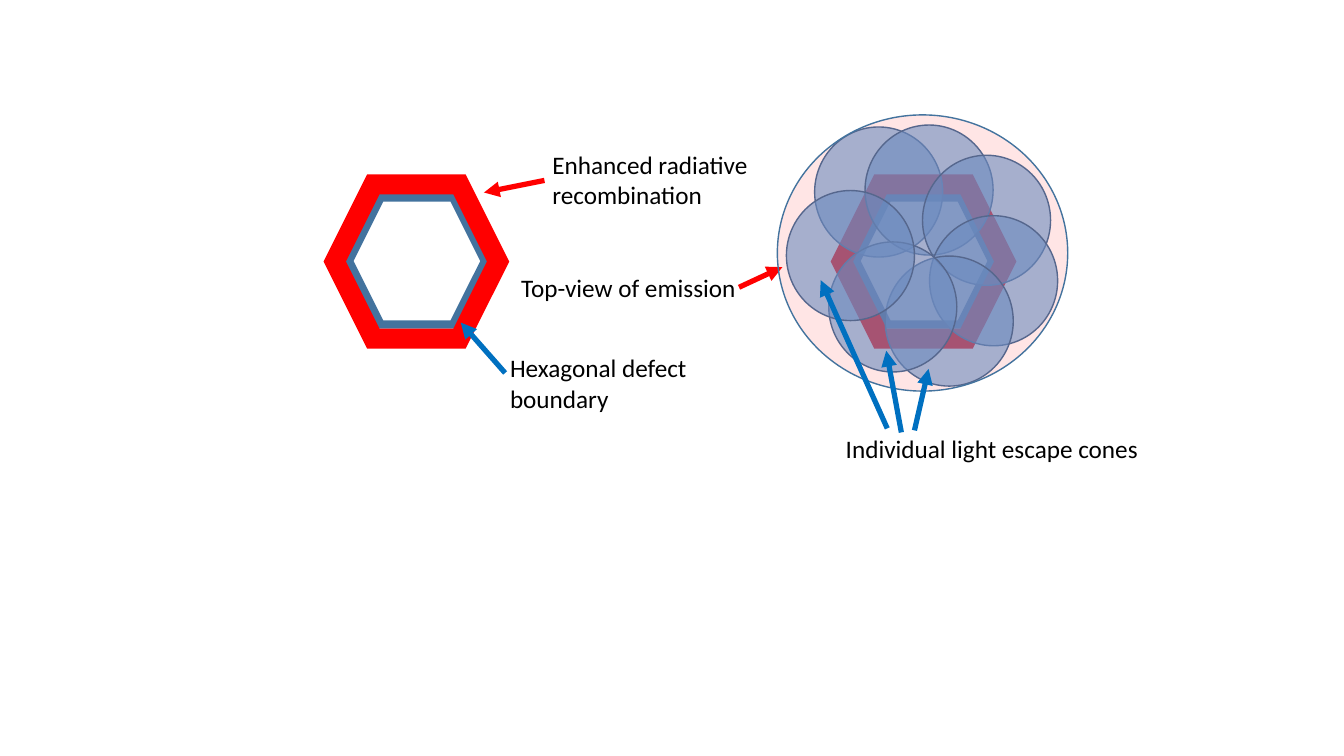
from dataclasses import dataclass
from typing import Optional

from lxml import etree
from pptx import Presentation
from pptx.dml.color import RGBColor
from pptx.enum.shapes import MSO_CONNECTOR, MSO_SHAPE
from pptx.oxml.ns import qn
from pptx.util import Inches, Pt

HEXAGON, ELLIPSE = MSO_SHAPE.HEXAGON, MSO_SHAPE.OVAL
STRAIGHT = MSO_CONNECTOR.STRAIGHT

WHITE = RGBColor(0xFF, 0xFF, 0xFF)
BLACK = RGBColor(0x00, 0x00, 0x00)
RED = RGBColor(0xFF, 0x00, 0x00)
ARROW_BLUE = RGBColor(0x00, 0x70, 0xC0)
OUTLINE_BLUE = RGBColor(0x43, 0x73, 0x9E)
CONE_BLUE = RGBColor(0x5B, 0x9B, 0xD5)

LABEL_FONT = {"name": "Calibri", "size": Pt(18)}
CONE_WIDTH, CONE_HEIGHT = 1.27, 1.29


@dataclass(frozen=True)
class Outline:
    left: float
    top: float
    width: float
    height: float
    line_color: RGBColor
    line_width: float
    fill: Optional[RGBColor] = None
    opacity: int = 100


@dataclass(frozen=True)
class Arrow:
    start: tuple[float, float]
    tip: tuple[float, float]
    color: RGBColor


@dataclass(frozen=True)
class Label:
    text: str
    left: float
    top: float
    width: float
    height: float


HEXAGON_LEFTS = (3.32, 8.35)
CONE_CORNERS = (
    (8.08, 1.26), (8.58, 1.24), (9.15, 1.54), (9.22, 2.14),
    (8.78, 2.54), (8.22, 2.40), (7.80, 1.89),
)
EMISSION = Outline(7.71, 1.14, 2.88, 2.74, OUTLINE_BLUE, 1, RED, 10)
RED_ARROWS = (
    Arrow((5.40, 1.79), (4.80, 1.91), RED),
    Arrow((7.33, 2.85), (7.76, 2.65), RED),
)
BLUE_ARROWS = (
    Arrow((5.01, 3.70), (4.57, 3.20), ARROW_BLUE),
    Arrow((9.07, 4.27), (9.21, 3.66), ARROW_BLUE),
    Arrow((8.94, 4.29), (8.79, 3.48), ARROW_BLUE),
    Arrow((8.80, 4.25), (8.14, 2.78), ARROW_BLUE),
)
LABELS = (
    Label("Enhanced radiative recombination", 5.38, 1.43, 2.31, 0.71),
    Label("Hexagonal defect boundary", 4.96, 3.45, 2.31, 0.71),
    Label("Top-view of emission", 5.07, 2.65, 2.47, 0.40),
    Label("Individual light escape cones", 8.29, 4.25, 3.27, 0.40),
)


def add_outline(slide, preset: MSO_SHAPE, outline: Outline) -> None:
    box = (outline.left, outline.top, outline.width, outline.height)
    shape = slide.shapes.add_shape(preset, *map(Inches, box))
    shape.shadow.inherit = False
    shape.line.color.rgb = outline.line_color
    shape.line.width = Pt(outline.line_width)
    etree.SubElement(shape.line._get_or_add_ln(), qn("a:miter"), lim="800000")
    if outline.fill is None:
        shape.fill.background()
        return
    shape.fill.solid()
    shape.fill.fore_color.rgb = outline.fill
    if outline.opacity < 100:
        color = shape._element.spPr.find(qn("a:solidFill")).find(qn("a:srgbClr"))
        etree.SubElement(color, qn("a:alpha"), val=str(outline.opacity * 1000))


def add_defect(slide, left: float) -> None:
    """Draw the defect boundary inside its red recombination ring."""
    boundary = Outline(left + 0.14, 1.96, 1.35, 1.26, OUTLINE_BLUE, 6, WHITE)
    ring = Outline(left, 1.83, 1.62, 1.53, RED, 14.25)
    for hexagon in (boundary, ring):
        add_outline(slide, HEXAGON, hexagon)


def add_arrow(slide, arrow: Arrow) -> None:
    ends = map(Inches, (*arrow.start, *arrow.tip))
    connector = slide.shapes.add_connector(STRAIGHT, *ends)
    connector.line.color.rgb = arrow.color
    connector.line.width = Pt(3.75)
    etree.SubElement(connector.line._get_or_add_ln(), qn("a:tailEnd"), type="triangle")
    etree.SubElement(connector._element.spPr, qn("a:effectLst"))


def add_label(slide, label: Label) -> None:
    box = (label.left, label.top, label.width, label.height)
    text_frame = slide.shapes.add_textbox(*map(Inches, box)).text_frame
    text_frame.word_wrap = True
    run = text_frame.paragraphs[0].add_run()
    run.text = label.text
    for attribute, value in LABEL_FONT.items():
        setattr(run.font, attribute, value)
    run.font.color.rgb = BLACK


def main() -> None:
    presentation = Presentation()
    presentation.slide_width = Inches(13.33)
    presentation.slide_height = Inches(7.5)
    slide = presentation.slides.add_slide(presentation.slide_layouts[6])

    for left in HEXAGON_LEFTS:
        add_defect(slide, left)
    for left, top in CONE_CORNERS:
        cone = Outline(left, top, CONE_WIDTH, CONE_HEIGHT, OUTLINE_BLUE, 1, CONE_BLUE, 60)
        add_outline(slide, ELLIPSE, cone)
    for arrow in RED_ARROWS:
        add_arrow(slide, arrow)
    add_outline(slide, ELLIPSE, EMISSION)
    for label in LABELS:
        add_label(slide, label)
    for arrow in BLUE_ARROWS:
        add_arrow(slide, arrow)

    presentation.save("out.pptx")


if __name__ == "__main__":
    main()
